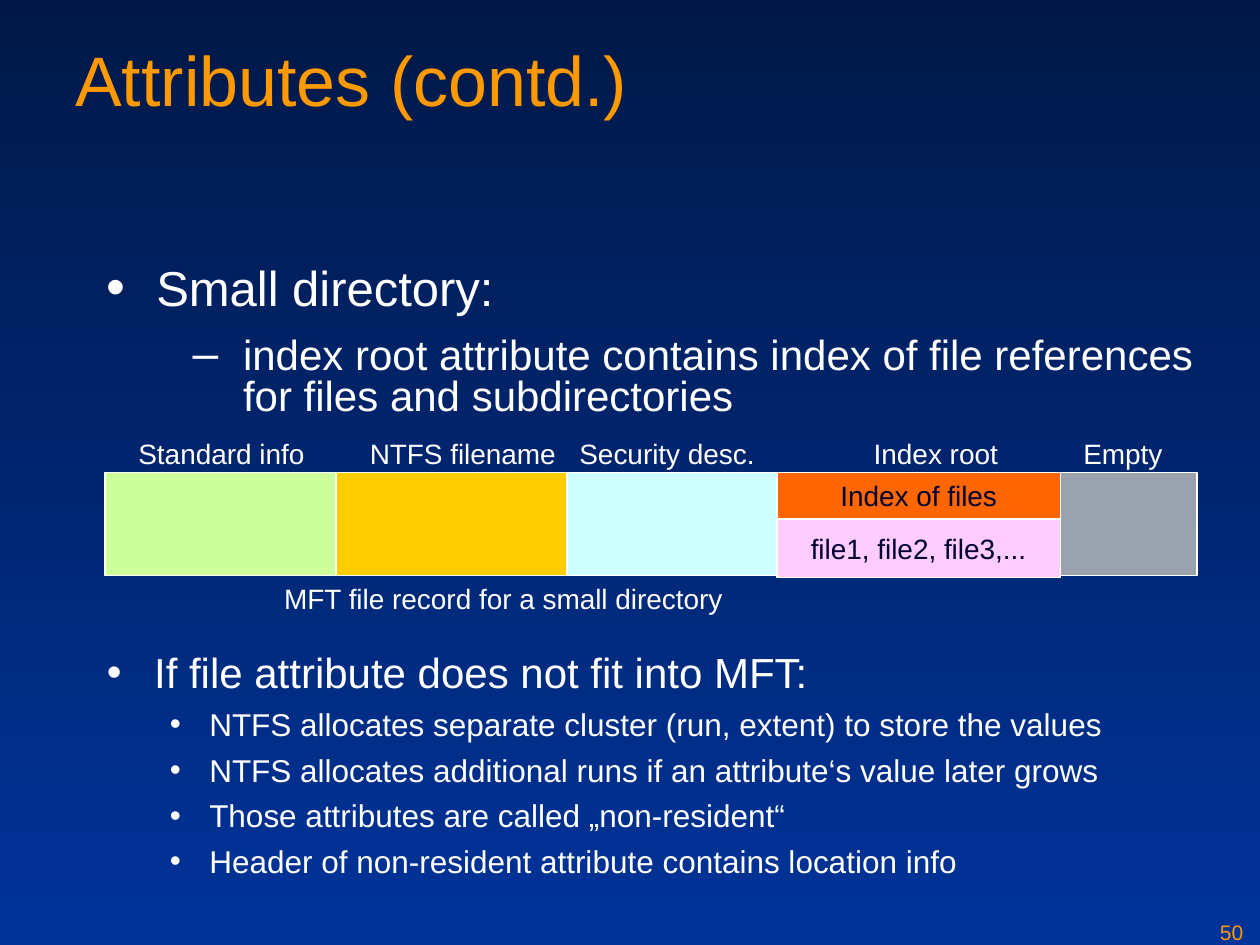
from itertools import accumulate

from lxml import etree
from pptx import Presentation
from pptx import util as u
from pptx.dml.color import RGBColor
from pptx.enum import shapes, text
from pptx.oxml import ns

NIGHT = RGBColor(0x00, 0x18, 0x47)
BLUE = RGBColor(0x00, 0x33, 0x99)
ORANGE = RGBColor(0xFE, 0x99, 0x00)
WHITE = RGBColor(0xFF, 0xFF, 0xFF)
INK = RGBColor(0x00, 0x00, 0x33)
GREEN = RGBColor(0xCC, 0xFF, 0x99)
YELLOW = RGBColor(0xFF, 0xCC, 0x00)
CYAN = RGBColor(0xCC, 0xFF, 0xFF)
GRAY = RGBColor(0x9A, 0xA3, 0xAD)
RED = RGBColor(0xFF, 0x66, 0x00)
PINK = RGBColor(0xFF, 0xCC, 0xFF)


class SlideWriter:
    font = "Arial"
    label_size = 16

    def __init__(self, slide):
        self.slide = slide

    def background(self, top, bottom):
        fill = self.slide.background.fill
        fill.gradient()
        fill.gradient_angle = 270
        for stop, color in zip(fill.gradient_stops, (top, bottom)):
            stop.color.rgb = color

    def run(self, paragraph, words, size, color):
        run = paragraph.add_run()
        run.text = words
        run.font.name = self.font
        run.font.size = u.Pt(size)
        run.font.color.rgb = color

    def frame(self, x, y, width, height, wrap=True):
        frame = self.slide.shapes.add_textbox(*map(u.Pt, (x, y, width, height))).text_frame
        frame.word_wrap = wrap
        if not wrap:
            frame.auto_size = text.MSO_AUTO_SIZE.SHAPE_TO_FIT_TEXT
        return frame

    def label(self, words, x, y, width, height=26.6, size=label_size,
              color=WHITE, wrap=False):
        frame = self.frame(x, y, width, height, wrap)
        self.run(frame.paragraphs[0], words, size, color)

    def block(self, x, y, width, height, color, words=None):
        block = self.slide.shapes.add_shape(
            shapes.MSO_SHAPE.RECTANGLE, *map(u.Pt, (x, y, width, height)))
        block.shadow.inherit = False
        block.fill.solid()
        block.fill.fore_color.rgb = color
        block.line.color.rgb = WHITE
        block.line.width = u.Pt(0.75)
        if words:
            block.text_frame.vertical_anchor = text.MSO_ANCHOR.TOP
            paragraph = block.text_frame.paragraphs[0]
            paragraph.alignment = text.PP_ALIGN.CENTER
            self.run(paragraph, words, self.label_size, INK)

    def bullets(self, x, y, width, height, items):
        """Each item: words, level, size, bullet, bullet %, left, hang, before, after, line."""
        frame = self.frame(x, y, width, height)
        for i, (words, level, size, mark, percent, left, hang,
                before, after, line) in enumerate(items):
            paragraph = frame.add_paragraph() if i else frame.paragraphs[0]
            paragraph.level = level
            paragraph.space_before = u.Pt(before)
            paragraph.space_after = u.Pt(after)
            paragraph.line_spacing = line
            self.run(paragraph, words, size, WHITE)
            props = paragraph._p.get_or_add_pPr()
            props.set("marL", str(u.Pt(left)))
            props.set("indent", str(-u.Pt(hang)))
            color = etree.SubElement(props, ns.qn("a:buClr"))
            etree.SubElement(color, ns.qn("a:srgbClr"), val=str(WHITE))
            etree.SubElement(props, ns.qn("a:buSzPct"), val=str(percent * 1000))
            etree.SubElement(props, ns.qn("a:buFont"), typeface=self.font)
            etree.SubElement(props, ns.qn("a:buChar"), char=mark)


def main():
    deck = Presentation()
    deck.slide_width, deck.slide_height = u.Pt(720), u.Pt(540)
    writer = SlideWriter(deck.slides.add_slide(deck.slide_layouts[6]))
    writer.background(NIGHT, BLUE)

    # Page number and title
    writer.label("50", 690, 522, 30, 18, size=12, color=ORANGE, wrap=True)
    writer.label("Attributes (contd.)", 36, 17.3, 648, 90, size=40,
                 color=ORANGE, wrap=True)

    # Small directory
    writer.bullets(54, 150, 636, 102, [
        ("Small directory:", 0, 28, "•", 110, 28.2, 28.2, 7, 7, 0.8),
        ("index root attribute contains index of file references "
         "for files and subdirectories", 1, 24, "–", 110, 77.8, 28.8, 6, 6, 0.8),
    ])

    # File record: attribute labels above a row of blocks
    for attribute, x, width in [("Standard info", 72, 109.4), ("NTFS filename", 204.2, 121),
                                ("Security desc.", 324, 114.5), ("Index root", 492.2, 86),
                                ("Empty", 612, 59.8)]:
        writer.label(attribute, x, 246.2, width)

    row_top, row_height = 270, 59
    widths = [132, 132, 120, 162, 78]
    lefts = list(accumulate(widths[:-1], initial=60))
    for x, width, color in zip(lefts, widths, (GREEN, YELLOW, CYAN, None, GRAY)):
        if color:
            writer.block(x, row_top, width, row_height, color)
    root_left, root_width = lefts[3], widths[3]
    writer.block(root_left, 294, root_width, 36, PINK)
    writer.block(root_left, row_top, root_width, 26.6, RED, "Index of files")
    writer.label("file1, file2, file3,...", 456.2, 300.4, 137.5, color=INK)
    writer.label("MFT file record for a small directory", 155.3, 329, 265)

    # Attributes that do not fit
    details = [
        "NTFS allocates separate cluster (run, extent) to store the values",
        "NTFS allocates additional runs if an attribute‘s value later grows",
        "Those attributes are called „non-resident“",
        "Header of non-resident attribute contains location info",
    ]
    writer.bullets(54, 366, 636, 126, [
        ("If file attribute does not fit into MFT:", 0, 24, "•", 100, 27, 27, 6, 0, 1),
        *((detail, 1, 18, "•", 100, 58.5, 22.5, 4.5, 0, 1) for detail in details),
    ])

    deck.save("out.pptx")


if __name__ == "__main__":
    main()
